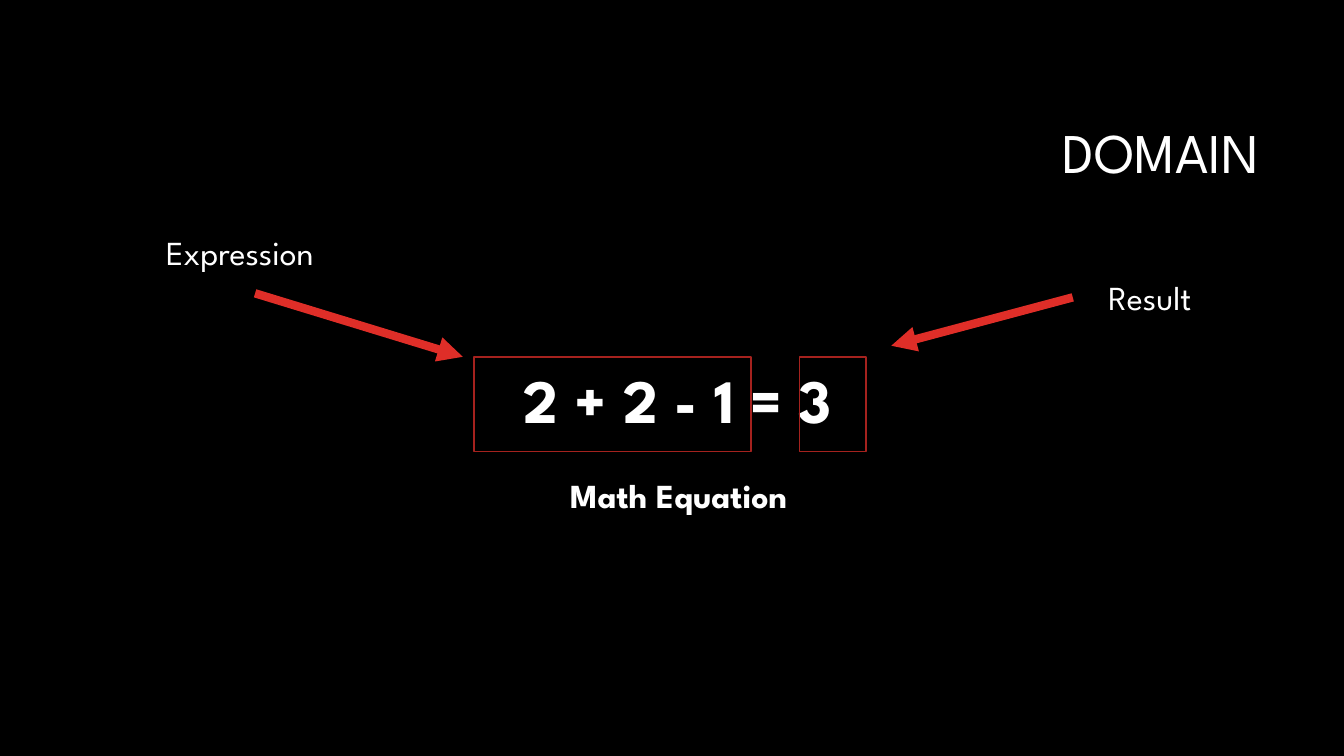
import pptx
import pptx.util
import pptx.dml.color
import pptx.enum.shapes
import pptx.enum.text
import lxml.etree

Inches, Pt = pptx.util.Inches, pptx.util.Pt
ALIGN = pptx.enum.text.PP_ALIGN
WIDTH, HEIGHT = 13.33, 7.5
FONT = "League Spartan"
WHITE, ARROW_RED, FRAME_RED = "FFFFFF", "DF2E28", "A5221E"


def color(hex_value):
    return pptx.dml.color.RGBColor.from_string(hex_value)


def write(tf, text, size, bold=False, align=ALIGN.CENTER):
    tf.word_wrap = True
    p = tf.paragraphs[0]
    p.text = text
    p.alignment = align
    p.font.name = FONT
    p.font.size = Pt(size)
    p.font.bold = bold
    p.font.color.rgb = color(WHITE)
    return p


def add_label(s, box, text, size=24, bold=False):
    tf = s.shapes.add_textbox(*map(Inches, box)).text_frame
    write(tf, text, size, bold)
    tf.auto_size = pptx.enum.text.MSO_AUTO_SIZE.SHAPE_TO_FIT_TEXT


def add_frame(s, box):
    sp = s.shapes.add_shape(pptx.enum.shapes.MSO_SHAPE.RECTANGLE, *map(Inches, box))
    sp.shadow.inherit = False
    sp.fill.background()
    sp.line.color.rgb = color(FRAME_RED)
    sp.line.width = Pt(1)


def add_arrow(s, start, end):
    cx = s.shapes.add_connector(
        pptx.enum.shapes.MSO_CONNECTOR.STRAIGHT, *map(Inches, start + end))
    cx.line.color.rgb = color(ARROW_RED)
    cx.line.width = Pt(6)
    ns = pptx.oxml.ns.qn
    lxml.etree.SubElement(cx.line._get_or_add_ln(), ns("a:tailEnd"), type="triangle")
    lxml.etree.SubElement(cx._element.spPr, ns("a:effectLst"))


def add_title(s, box, text):
    title = s.shapes.title
    title.left, title.top, title.width, title.height = map(Inches, box)
    tf = title.text_frame
    tf.vertical_anchor = pptx.enum.text.MSO_ANCHOR.MIDDLE
    write(tf, text, 40, align=ALIGN.RIGHT).line_spacing = 0.9


def add_equation(s, box):
    x, y, w, h = box
    add_label(s, (x, y, w, 0.84), "2 + 2 - 1 = 3", 44, True)
    add_label(s, (x + 0.58, y + 1.12, 4.88, 0.5), "Math Equation", bold=True)
    for left, width in ((0.99, 2.75), (4.22, 0.66)):
        add_frame(s, (x + left, y, width, h))


def add_callout(s, box, text, start, end):
    x, y, w, h = box
    add_arrow(s, (x + start[0], y + start[1]), (x + end[0], y + end[1]))
    add_label(s, box, text)


def main():
    prs = pptx.Presentation()
    prs.slide_width, prs.slide_height = Inches(WIDTH), Inches(HEIGHT)
    s = prs.slides.add_slide(prs.slide_layouts[5])
    s.background.fill.solid()
    s.background.fill.fore_color.rgb = color("000000")
    add_title(s, (3.17, 0.84, 9.42, 1.41), "DOMAIN")
    add_equation(s, (3.71, 3.54, 6.03, 0.94))
    add_callout(s, (0.53, 2.25, 3.7, 0.5), "Expression", (2, 0.66), (4.06, 1.29))
    add_callout(s, (10.48, 2.7, 1.85, 0.5), "Result", (0.16, 0.25), (-1.64, 0.73))
    prs.save("out.pptx")


if __name__ == "__main__":
    main()
